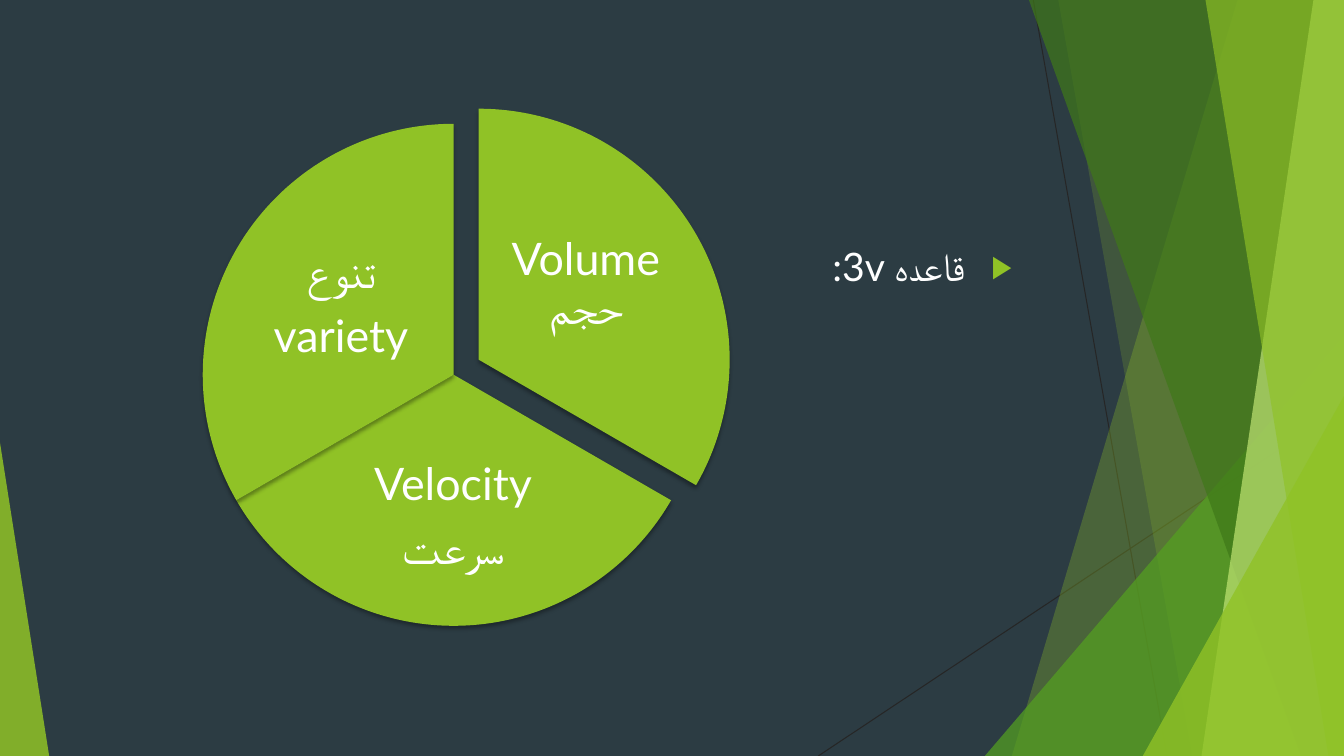
import lxml.etree
import pptx
import pptx.dml.color
import pptx.enum.shapes
import pptx.enum.text
import pptx.oxml.ns
import pptx.util

Cm = pptx.util.Cm
Pt = pptx.util.Pt
SHAPE = pptx.enum.shapes.MSO_SHAPE
ALIGN = pptx.enum.text.PP_ALIGN

WIDTH, HEIGHT = 33.87, 19.05
FONT = "Lato"
GREEN = "90C226"
WHITE = "FFFFFF"
PIE_SIZE = 12.65

# Fan bands: top left x, bottom left x, colour, opacity in percent
BACK_BANDS = [(31.19, 25.5, GREEN, 30), (26.67, 30.05, GREEN, 20)]
FRONT_BANDS = [(25.93, 32.79, "3F7819", 70), (33.1, 30.28, "C0E474", 70),
               (30.38, 33.48, GREEN, 65)]

# Slices: left, top, start and end angle, label box, label paragraphs
SLICES = [
    (5.74, 2.74, 270, 30, (12.62, 5.08, 4.29, 4.22), ["Volume حجم"]),
    (5.11, 3.12, 30, 150, (8.56, 11.1, 5.72, 3.91), ["Velocity", "سرعت"]),
    (5.11, 3.12, 150, 270, (6.45, 5.61, 4.29, 4.22), ["تنوع", "variety"]),
]


def rgb(colour):
    return pptx.dml.color.RGBColor.from_string(colour)


def add_child(parent, tag, **attributes):
    child = lxml.etree.SubElement(parent, pptx.oxml.ns.qn(tag))
    for name, value in attributes.items():
        child.set(name, str(value))
    return child


def paint(shape, colour, opacity=100):
    shape.shadow.inherit = False
    shape.line.fill.background()
    shape.fill.solid()
    shape.fill.fore_color.rgb = rgb(colour)
    if opacity < 100:
        fill = shape.element.spPr.find(pptx.oxml.ns.qn("a:solidFill"))
        add_child(fill[0], "a:alpha", val=opacity * 1000)


def add_run(paragraph, text, size):
    run = paragraph.add_run()
    run.text = text
    run.font.size = Pt(size)
    run.font.color.rgb = rgb(WHITE)
    run.font.name = FONT
    add_child(run.font._element, "a:cs", typeface=FONT)


def add_line(shapes, *ends):
    connector = shapes.add_connector(
        pptx.enum.shapes.MSO_CONNECTOR.STRAIGHT, *map(Cm, ends))
    connector.line.color.rgb = rgb("262626")
    connector.line.width = Pt(0.75)
    add_child(connector.element.spPr, "a:effectLst")


def add_band(shapes, top_x, bottom_x, colour, opacity):
    """Band from a slanted left side to the right edge of the slide."""
    builder = shapes.build_freeform(Cm(top_x), 0)
    builder.add_line_segments([(Cm(WIDTH), 0), (Cm(WIDTH), Cm(HEIGHT)),
                               (Cm(bottom_x), Cm(HEIGHT))])
    paint(builder.convert_to_shape(), colour, opacity)


def add_corner(shapes, left, top, right, peak, colour, opacity):
    """Triangle that stands on the bottom edge of the slide."""
    triangle = shapes.add_shape(
        SHAPE.ISOSCELES_TRIANGLE, Cm(left), Cm(top),
        Cm(right - left), Cm(HEIGHT - top))
    triangle.adjustments[0] = peak
    paint(triangle, colour, opacity)


def add_slice(shapes, left, top, start, end):
    pie = shapes.add_shape(SHAPE.PIE, Cm(left), Cm(top),
                           Cm(PIE_SIZE), Cm(PIE_SIZE))
    # One adjustment unit is 5/3 of a degree
    pie.adjustments[0] = start * 0.6
    pie.adjustments[1] = end * 0.6
    paint(pie, GREEN)
    effects = pie.element.spPr.find(pptx.oxml.ns.qn("a:effectLst"))
    shadow = add_child(effects, "a:outerShdw", blurRad=Pt(3), dist=Pt(2),
                       dir=5400000, rotWithShape=0)
    black = add_child(shadow, "a:srgbClr", val="000000")
    add_child(black, "a:alpha", val=35000)


def add_label(shapes, box, lines):
    frame = shapes.add_textbox(*map(Cm, box)).text_frame
    frame.word_wrap = True
    frame.vertical_anchor = pptx.enum.text.MSO_ANCHOR.MIDDLE
    frame.margin_left = frame.margin_right = Cm(0.1)
    frame.margin_top = frame.margin_bottom = Cm(0.1)
    for index, line in enumerate(lines):
        paragraph = frame.add_paragraph() if index else frame.paragraphs[0]
        paragraph.alignment = ALIGN.CENTER
        paragraph.line_spacing = 0.9
        after = add_child(paragraph._p.get_or_add_pPr(), "a:spcAft")
        add_child(after, "a:spcPct", val=35000)
        add_run(paragraph, line, 32)


def fill_body(body, text):
    body.left, body.top = Cm(1.88), Cm(5.99)
    body.width, body.height = Cm(23.88), Cm(10.77)
    paragraph = body.text_frame.paragraphs[0]
    paragraph.alignment = ALIGN.RIGHT
    paragraph.space_before = Pt(10)
    # Right-to-left bullet with a hanging indent
    properties = paragraph._p.get_or_add_pPr()
    properties.set("rtl", "1")
    properties.set("marL", str(Cm(0.95)))
    properties.set("indent", str(-Cm(0.95)))
    bullet_colour = add_child(properties, "a:buClr")
    add_child(bullet_colour, "a:srgbClr", val=GREEN)
    add_child(properties, "a:buSzPct", val=80000)
    add_child(properties, "a:buChar", char="▶")
    add_run(paragraph, text, 28)


def add_decoration(slide):
    shapes = slide.shapes.add_group_shape().shapes
    add_line(shapes, 26.04, 0, 29.41, HEIGHT)
    add_line(shapes, WIDTH, 10.24, 20.62, HEIGHT)
    for band in BACK_BANDS:
        add_band(shapes, *band)
    add_corner(shapes, 24.82, 8.46, WIDTH, 1, "54A021", 72)
    for band in FRONT_BANDS:
        add_band(shapes, *band)
    add_corner(shapes, 28.8, 9.98, WIDTH, 1, GREEN, 80)
    add_corner(shapes, 0, 11.15, 1.24, 0, GREEN, 85)


def main():
    presentation = pptx.Presentation()
    presentation.slide_width = Cm(WIDTH)
    presentation.slide_height = Cm(HEIGHT)
    slide = presentation.slides.add_slide(presentation.slide_layouts[1])
    slide.background.fill.solid()
    slide.background.fill.fore_color.rgb = rgb("2C3C43")

    # The slide has no title
    title = slide.shapes.title.element
    title.getparent().remove(title)

    add_decoration(slide)

    # Body text, in front of the decoration
    body = slide.placeholders[1]
    body.element.getparent().append(body.element)
    fill_body(body, " قاعده 3v: ")

    # Pie of the three Vs
    pie_shapes = slide.shapes.add_group_shape().shapes
    for left, top, start, end, box, lines in SLICES:
        add_slice(pie_shapes, left, top, start, end)
        add_label(pie_shapes, box, lines)

    presentation.save("out.pptx")


if __name__ == "__main__":
    main()
